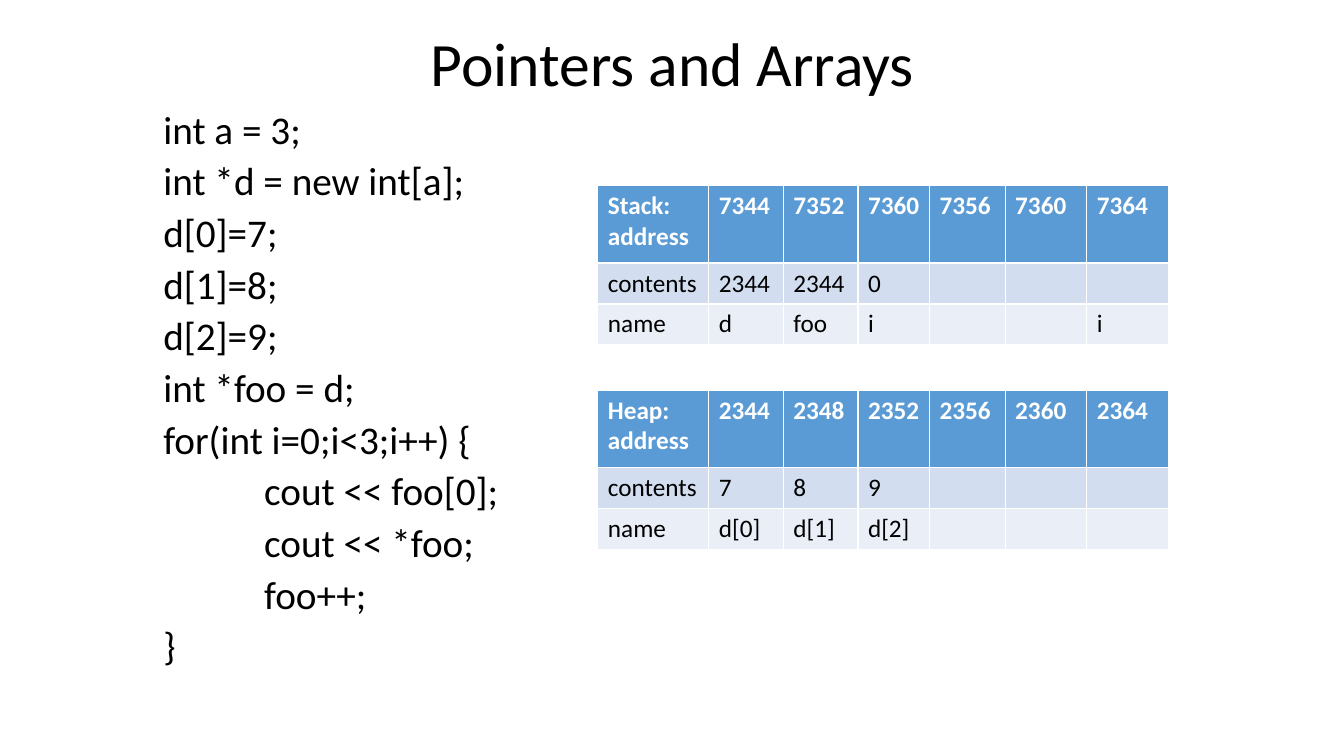
from lxml import etree
from pptx import Presentation
from pptx import util as u
from pptx.dml import color
from pptx.enum import text
from pptx.oxml import ns

COLORS = {"text": "000000", "header": "5B9BD5", "header text": "FFFFFF",
          "contents": "D2DEEF", "name": "EAEFF7"}


def style_font(font, size, color_name, bold=False):
    font.name = "Calibri"
    font.size = u.Pt(size)
    font.bold = bold
    font.color.rgb = color.RGBColor.from_string(COLORS[color_name])


def place(shape, left, top, width, height):
    shape.left, shape.top = u.Inches(left), u.Inches(top)
    shape.width, shape.height = u.Inches(width), u.Inches(height)
    shape.text_frame.auto_size = text.MSO_AUTO_SIZE.NONE


presentation = Presentation()
presentation.slide_width = u.Inches(13.33)
presentation.slide_height = u.Inches(7.5)
slide = presentation.slides.add_slide(presentation.slide_layouts[1])

# Title
title = slide.shapes.title
place(title, 0.92, 0.24, 11.5, 0.84)
title.text_frame.text = "Pointers and Arrays"
title.text_frame.vertical_anchor = text.MSO_ANCHOR.MIDDLE
paragraph = title.text_frame.paragraphs[0]
paragraph.alignment = text.PP_ALIGN.CENTER
paragraph.line_spacing = 0.9
style_font(paragraph.font, 44, "text")

# Code listing: each line with its indent in inches
code_lines = [
    (1, "int a = 3;"),
    (1, "int *d = new int[a];"),
    (1, "d[0]=7;"),
    (1, "d[1]=8;"),
    (1, "d[2]=9;"),
    (1, "int *foo = d;"),
    (1, "for(int i=0;i<3;i++) {"),
    (2, "cout << foo[0];"),
    (2, "cout << *foo;"),
    (2, "foo++;"),
    (1, "}"),
]
code = slide.placeholders[1]
place(code, 0.52, 1.08, 12.42, 5.71)
code.text_frame.text = "\n".join(line for _, line in code_lines)
for paragraph, (indent, _) in zip(code.text_frame.paragraphs, code_lines):
    paragraph.line_spacing = 0.8
    paragraph.space_before = u.Pt(10)
    style_font(paragraph.font, 28, "text")
    properties = paragraph._p.get_or_add_pPr()
    properties.set("marL", str(u.Inches(indent)))
    properties.set("indent", "0")
    properties.insert_element_before(
        etree.Element(ns.qn("a:buNone")), "a:tabLst", "a:defRPr", "a:extLst")

# Memory tables: top edge and rows
column_widths = [1.1, 0.74, 0.74, 0.71, 0.75, 0.81, 0.81]
row_heights = [0.77, 0.4, 0.4]
row_fills = ["header", "contents", "name"]
memory_tables = [
    (1.84, [["Stack:\vaddress", "7344", "7352", "7360", "7356", "7360", "7364"],
            ["contents", "2344", "2344", "0", "", "", ""],
            ["name", "d", "foo", "i", "", "", "i"]]),
    (3.87, [["Heap:\vaddress", "2344", "2348", "2352", "2356", "2360", "2364"],
            ["contents", "7", "8", "9", "", "", ""],
            ["name", "d[0]", "d[1]", "d[2]", "", "", ""]]),
]
for top, rows in memory_tables:
    table = slide.shapes.add_table(
        len(rows), len(column_widths), u.Inches(5.93), u.Inches(top),
        u.Inches(sum(column_widths)), u.Inches(sum(row_heights))).table
    for column, width in zip(table.columns, column_widths):
        column.width = u.Inches(width)
    for row, height, fill, values in zip(table.rows, row_heights, row_fills, rows):
        row.height = u.Inches(height)
        is_header = fill == "header"
        for cell, value in zip(row.cells, values):
            cell.fill.solid()
            cell.fill.fore_color.rgb = color.RGBColor.from_string(COLORS[fill])
            cell.text = value
            style_font(cell.text_frame.paragraphs[0].font, 18,
                       "header text" if is_header else "text", is_header)

presentation.save("out.pptx")
